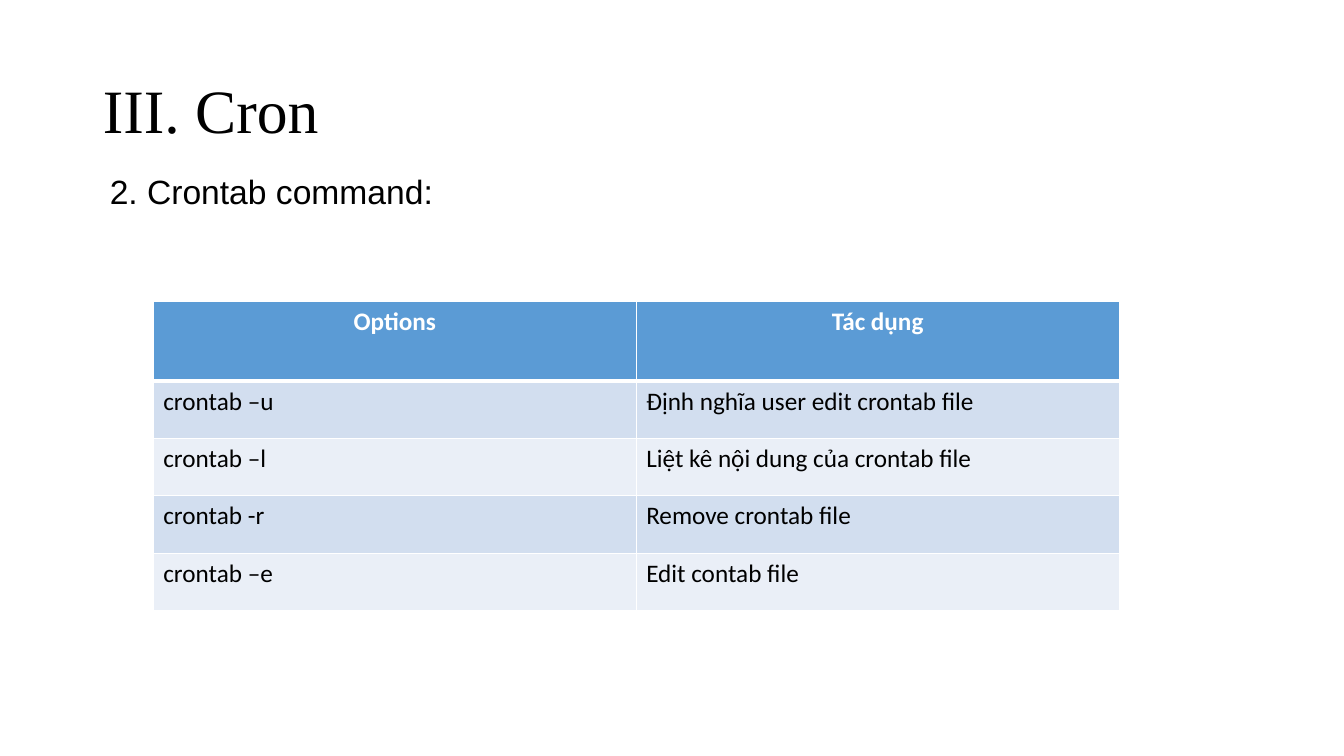
from lxml.etree import SubElement
from pptx import Presentation
from pptx.dml.color import RGBColor
from pptx.enum.text import MSO_ANCHOR, MSO_AUTO_SIZE, PP_ALIGN
from pptx.oxml.ns import qn
from pptx.util import Inches, Pt

WHITE, BLACK = "FFFFFF", "000000"
HEADER_FILL = "5B9BD5"
BAND_FILLS = ("D2DEEF", "EAEFF7")
OPTIONS = (
    ("Options", "Tác dụng"),
    ("crontab –u", "Định nghĩa user edit crontab file"),
    ("crontab –l", "Liệt kê nội dung của crontab file"),
    ("crontab -r", "Remove crontab file"),
    ("crontab –e", "Edit contab file"),
)


def colour(value):
    return RGBColor.from_string(value)


class CronSlide:
    title_font = "Times New Roman"
    text_font = "Arial"
    table_font = "Calibri"

    def __init__(self, deck):
        self.page = deck.slides.add_slide(deck.slide_layouts[5])

    def set_text(self, frame, text, font, size, ink=BLACK, bold=False, align=PP_ALIGN.LEFT):
        frame.text = text
        para = frame.paragraphs[0]
        para.alignment = align
        for span in para.runs:
            span.font.name = font
            span.font.size = Pt(size)
            span.font.bold = bold
            span.font.color.rgb = colour(ink)
        return para

    def place(self, shape, left, top, width, height):
        shape.left, shape.top = Inches(left), Inches(top)
        shape.width, shape.height = Inches(width), Inches(height)

    def title(self, text, *area):
        box = self.page.shapes.title
        self.place(box, *area)
        box.text_frame.vertical_anchor = MSO_ANCHOR.MIDDLE
        para = self.set_text(box.text_frame, text, self.title_font, 44)
        para.line_spacing = 0.9

    def text(self, text, *area):
        box = self.page.shapes.add_textbox(*map(Inches, area))
        box.text_frame.word_wrap = True
        box.text_frame.auto_size = MSO_AUTO_SIZE.SHAPE_TO_FIT_TEXT
        self.set_text(box.text_frame, text, self.text_font, 24)

    def borders(self, cell, **widths):
        properties = cell._tc.get_or_add_tcPr()
        for side, width in widths.items():
            line = SubElement(properties, qn(f"a:ln{side}"), w=str(Pt(width)))
            fill = SubElement(line, qn("a:solidFill"))
            SubElement(fill, qn("a:srgbClr"), val=WHITE)

    def table(self, rows, heights, *area):
        grid = self.page.shapes.add_table(len(rows), len(rows[0]), *map(Inches, area)).table
        for index, (values, height) in enumerate(zip(rows, heights)):
            grid.rows[index].height = Inches(height)
            header = index == 0
            fill = HEADER_FILL if header else BAND_FILLS[(index - 1) % 2]
            ink = WHITE if header else BLACK
            align = PP_ALIGN.CENTER if header else PP_ALIGN.LEFT
            for column, value in enumerate(values):
                cell = grid.cell(index, column)
                self.borders(cell, L=1, R=1, T=3 if index == 1 else 1, B=3 if header else 1)
                cell.fill.solid()
                cell.fill.fore_color.rgb = colour(fill)
                self.set_text(cell.text_frame, value, self.table_font, 18, ink, header, align)


def main():
    deck = Presentation()
    deck.slide_width, deck.slide_height = Inches(13.33), Inches(7.5)
    slide = CronSlide(deck)
    slide.title("III. Cron", 0.92, 0.4, 11.5, 1.45)
    slide.text("2. Crontab command:", 0.99, 1.65, 9.42, 0.5)
    heights = [0.79] + [0.57] * (len(OPTIONS) - 1)
    slide.table(OPTIONS, heights, 1.52, 2.99, 9.58, sum(heights))
    deck.save("out.pptx")


if __name__ == "__main__":
    main()
